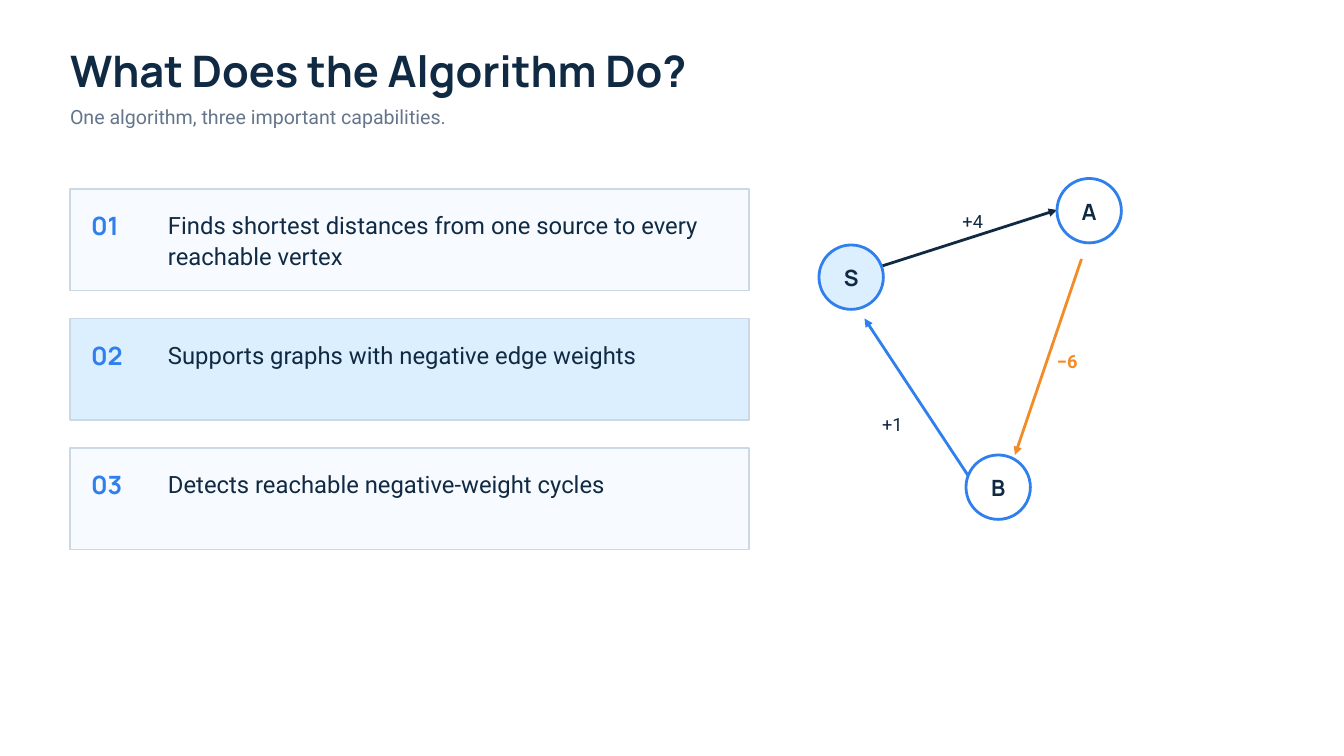
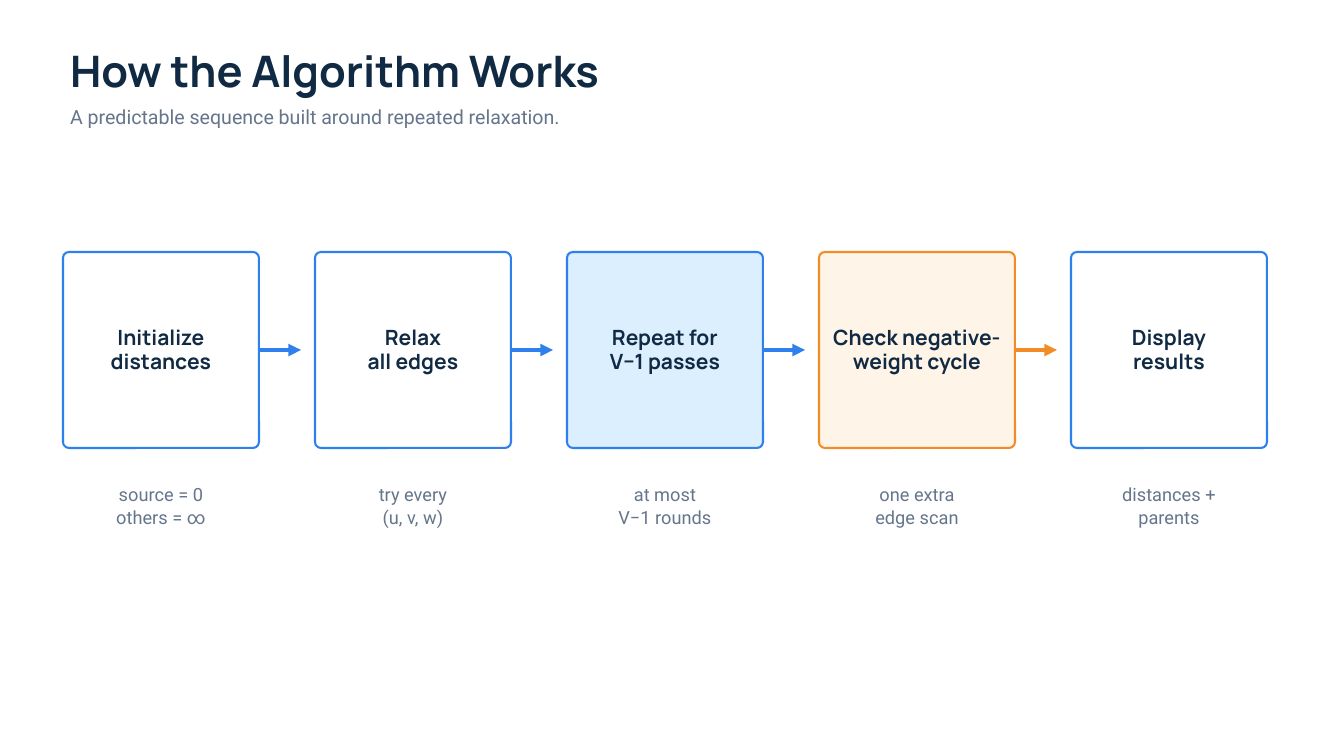
from dataclasses import dataclass

from lxml.etree import SubElement as Sub
from pptx import Presentation
from pptx.dml.color import RGBColor as Rgb
from pptx.enum.shapes import MSO_CONNECTOR as Link, MSO_SHAPE as Form
from pptx.enum.text import MSO_ANCHOR as Anchor, MSO_AUTO_SIZE as Fit, PP_ALIGN as Align
from pptx.oxml.ns import qn
from pptx.util import Inches, Pt

COLS, ROWS = 192, 108


@dataclass(frozen=True)
class Style:
    face: str
    size: float
    lead: float
    ink: str
    bold: bool = False


class Theme:
    ink = "102A43"
    gray = "65758B"
    blue = "2F80ED"
    gold = "F28C28"
    white = "FFFFFF"
    pale = "F7FBFF"
    sky = "DCEFFF"
    cream = "FFF4E8"
    edge = "CBD8E6"
    head, text = "Manrope", "Roboto"
    title = Style(head, 46.5, 48.8, ink, True)
    lede = Style(text, 21, 27.3, gray)
    count = Style(head, 27, 37.8, blue, True)
    point = Style(text, 25.5, 33.1, ink)
    node = Style(head, 24, 33.6, ink, True)
    weight = Style(text, 19.5, 25.4, ink)
    minus = Style(text, 19.5, 27.3, gold, True)
    step = Style(head, 22.5, 25.9, ink, True)
    note = Style(text, 19.5, 24.4, gray)


class Deck:
    def __init__(self):
        self.file = Presentation()
        self.file.slide_width, self.file.slide_height = Inches(20), Inches(11.25)
        self.slide = None

    def grid(self, col, row):
        return (round(self.file.slide_width * col / COLS),
                round(self.file.slide_height * row / ROWS))

    def place(self, col, row, wide, high):
        return *self.grid(col, row), *self.grid(wide, high)

    def words(self, frame, lines, style, align=Align.LEFT, anchor=Anchor.TOP, pad=0, lift=0):
        frame.word_wrap = True
        frame.auto_size = Fit.NONE
        frame.vertical_anchor = anchor
        frame.margin_left = frame.margin_right = frame.margin_top = Pt(pad)
        frame.margin_bottom = Pt(pad + lift)
        for i, line in enumerate(lines):
            para = frame.add_paragraph() if i else frame.paragraphs[0]
            para.alignment = align
            para.line_spacing = Pt(style.lead)
            para.space_before = para.space_after = Pt(0)
            run = para.add_run()
            run.text = line
            font = run.font
            font.name, font.size, font.bold = style.face, Pt(style.size), style.bold
            font.color.rgb = Rgb.from_string(style.ink)

    def page(self, title, lede):
        self.slide = self.file.slides.add_slide(self.file.slide_layouts[1])
        top, body = self.slide.placeholders
        props = body.text_frame.paragraphs[0]._p.get_or_add_pPr()
        props.set("marL", "0")
        props.set("indent", "0")
        Sub(props, qn("a:buNone"))
        for hold, text, style, spot in (
            (top, title, Theme.title, (10, 7.3, 150, 7.1)),
            (body, lede, Theme.lede, (10, 14.7, 155, 3.7)),
        ):
            hold.left, hold.top, hold.width, hold.height = self.place(*spot)
            self.words(hold.text_frame, [text], style)

    def label(self, spot, lines, style, align=Align.LEFT):
        box = self.slide.shapes.add_textbox(*self.place(*spot))
        self.words(box.text_frame, lines, style, align)

    def shape(self, form, spot, fill, line, weight):
        item = self.slide.shapes.add_shape(form, *self.place(*spot))
        item.shadow.inherit = False
        item.fill.solid()
        item.fill.fore_color.rgb = Rgb.from_string(fill)
        item.line.color.rgb = Rgb.from_string(line)
        item.line.width = Pt(weight)
        return item

    def arrow(self, start, end, tint, weight, source=None):
        link = self.slide.shapes.add_connector(
            Link.STRAIGHT, *self.grid(*start), *self.grid(*end))
        if source is not None:
            link.begin_connect(source, 3)
        link.line.color.rgb = Rgb.from_string(tint)
        link.line.width = Pt(weight)
        props = link._element.spPr
        Sub(props.find(qn("a:ln")), qn("a:tailEnd"), type="triangle")
        Sub(props, qn("a:effectLst"))

    def card(self, row, count, text, fill):
        self.shape(Form.RECTANGLE, (10, row, 97, 14.5), fill, Theme.edge, 1.5)
        self.label((13, row + 2.4, 8, 4.9), [count], Theme.count)
        self.label((24, row + 2.8, 78, 8.6), [text], Theme.point)

    def node(self, col, row, name, fill):
        ring = self.shape(Form.OVAL, (col, row, 9.2, 9.2), fill, Theme.blue, 3)
        self.words(ring.text_frame, [name], Theme.node, Align.CENTER, Anchor.MIDDLE, 0, 4)

    def step(self, col, lines, notes, fill, tint):
        side = 28
        box = self.shape(Form.ROUNDED_RECTANGLE, (col, 36, side, side), fill, tint, 2.25)
        box.adjustments[0] = 0.03
        self.words(box.text_frame, lines, Theme.step, Align.CENTER, Anchor.MIDDLE, 3)
        self.label((col, 68.9, side, 6.3), notes, Theme.note, Align.CENTER)
        return box


def tasks(deck):
    deck.page("What Does the Algorithm Do?", "One algorithm, three important capabilities.")
    points = (
        ("Finds shortest distances from one source to every reachable vertex", Theme.pale),
        ("Supports graphs with negative edge weights", Theme.sky),
        ("Detects reachable negative-weight cycles", Theme.pale),
    )
    for i, (text, fill) in enumerate(points):
        deck.card(27 + 18.5 * i, f"{i + 1:02}", text, fill)
    for start, end, tint in (
        ((126, 38), (151, 30), Theme.ink),
        ((154.5, 37), (145, 65), Theme.gold),
        ((139, 69), (123.5, 45.5), Theme.blue),
    ):
        deck.arrow(start, end, tint, 3)
    for node in (
        (117, 35, "S", Theme.sky),
        (151, 25.5, "A", Theme.white),
        (138, 65, "B", Theme.white),
    ):
        deck.node(*node)
    for col, row, text, style in (
        (137.5, 29.8, "+4", Theme.weight),
        (151, 49.6, "−6", Theme.minus),
        (126, 58.8, "+1", Theme.weight),
    ):
        deck.label((col, row, 8, 3.4), [text], style)


def steps(deck):
    deck.page("How the Algorithm Works", "A predictable sequence built around repeated relaxation.")
    flow = (
        (("Initialize", "distances"), ("source = 0", "others = ∞"), Theme.white, Theme.blue),
        (("Relax", "all edges"), ("try every", "(u, v, w)"), Theme.white, Theme.blue),
        (("Repeat for", "V−1 passes"), ("at most", "V−1 rounds"), Theme.sky, Theme.blue),
        (("Check negative-", "weight cycle"), ("one extra", "edge scan"), Theme.cream, Theme.gold),
        (("Display", "results"), ("distances +", "parents"), Theme.white, Theme.blue),
    )
    for i, (lines, notes, fill, tint) in enumerate(flow):
        col = 9 + 36 * i
        box = deck.step(col, lines, notes, fill, tint)
        if i < len(flow) - 1:
            deck.arrow((col + 28, 50), (col + 34, 50), tint, 4.5, box)


def main():
    deck = Deck()
    tasks(deck)
    steps(deck)
    deck.file.save("out.pptx")


if __name__ == "__main__":
    main()
